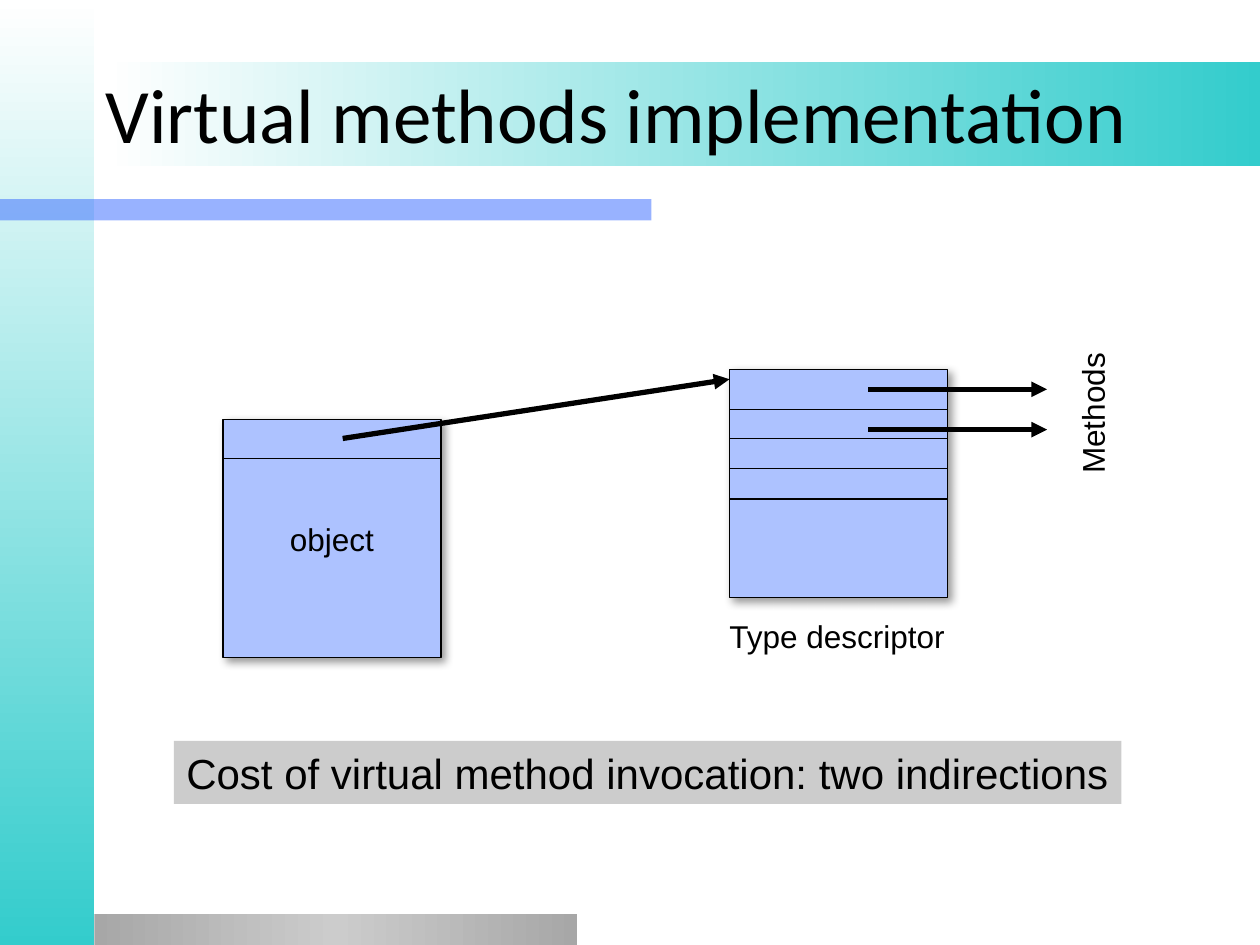
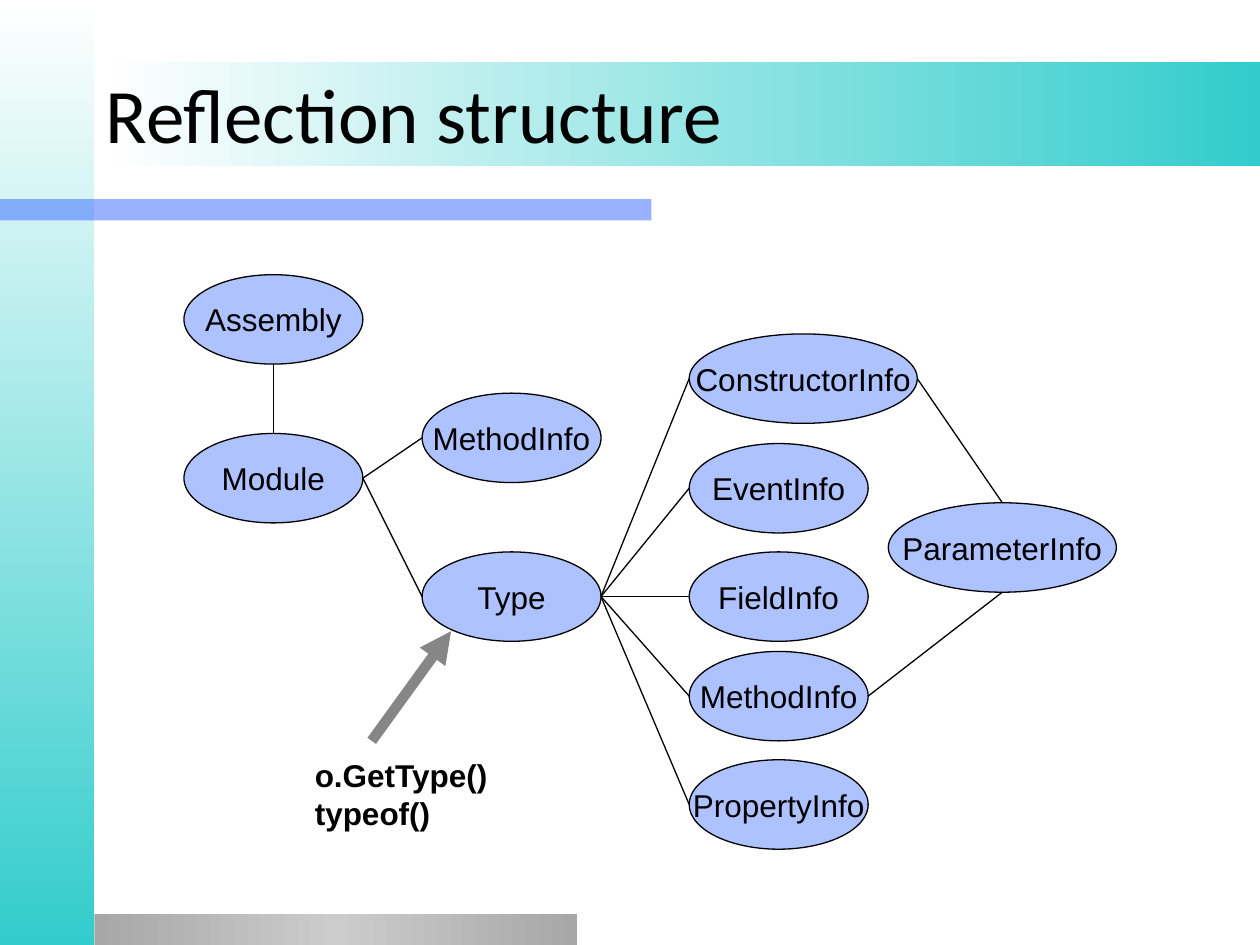
from dataclasses import dataclass

from pptx import Presentation
from pptx.dml.color import RGBColor
from pptx.enum import shapes, text
from pptx.oxml import parse_xml
from pptx.oxml.ns import nsdecls
from pptx.util import Inches, Pt
from copy import deepcopy


@dataclass(frozen=True)
class Theme:
    black: str = "000000"
    white: str = "FFFFFF"
    teal: str = "33CCCC"
    blue: str = "3366FF"
    node: str = "ADC2FF"
    silver: str = "CCCCCC"
    steel: str = "A7A7A7"
    arrow: str = "868686"
    title_font: str = "Calibri"
    body_font: str = "Arial"
    title_size: int = 44
    note_size: int = 24
    label_size: int = 18
    thin: float = 0.75
    thick: float = 3
    heavy: float = 6


THEME = Theme()
RECTANGLE = shapes.MSO_SHAPE.RECTANGLE
OVAL = shapes.MSO_SHAPE.OVAL


def rgb(colour):
    return RGBColor.from_string(colour)


def write(box, words, size=THEME.label_size, font=THEME.body_font,
          bold=False, wrap=False, centred=False, middle=False):
    frame = box.text_frame
    frame.text = words
    frame.word_wrap = wrap
    frame.vertical_anchor = text.MSO_ANCHOR.MIDDLE if middle else text.MSO_ANCHOR.TOP
    for para in frame.paragraphs:
        para.alignment = text.PP_ALIGN.CENTER if centred else text.PP_ALIGN.LEFT
        for span in para.runs:
            span.font.name = font
            span.font.size = Pt(size)
            span.font.bold = bold
            span.font.color.rgb = rgb(THEME.black)


def add_box(page, place, fill=None, outlined=False, kind=RECTANGLE):
    box = page.shapes.add_shape(kind, *map(Inches, place))
    box.shadow.inherit = False
    if fill:
        box.fill.solid()
        box.fill.fore_color.rgb = rgb(fill)
    if outlined:
        box.line.color.rgb = rgb(THEME.black)
        box.line.width = Pt(THEME.thin)
    else:
        box.line.fill.background()
    return box


def add_label(page, place, words, **style):
    box = page.shapes.add_textbox(*map(Inches, place))
    write(box, words, **style)
    return box


def add_gradient_band(page, place, colours, angle=0):
    """Spread the colours evenly; the angle runs counter-clockwise."""
    band = add_box(page, place)
    band.fill.gradient()
    band.fill.gradient_angle = angle
    stop_list = band.element.xpath(".//a:gsLst")[0]
    for _ in colours[2:]:
        stop_list.append(deepcopy(stop_list[-1]))
    for index, (stop, colour) in enumerate(zip(band.fill.gradient_stops, colours)):
        stop.color.rgb = rgb(colour)
        stop.position = index / (len(colours) - 1)


def add_line(page, start, end, width=THEME.thin, colour=THEME.black, arrow=False):
    line = page.shapes.add_connector(
        shapes.MSO_CONNECTOR.STRAIGHT, *map(Inches, (*start, *end)))
    line.line.color.rgb = rgb(colour)
    line.line.width = Pt(width)
    if arrow:
        line.line._get_or_add_ln().append(
            parse_xml(f'<a:tailEnd {nsdecls("a")} type="triangle"/>'))
    line.element.spPr.append(parse_xml(f'<a:effectLst {nsdecls("a")}/>'))


def add_record(page, place, dividers):
    """A shadowed memory block, split by lines at the given heights."""
    left, _, width, _ = place
    block = add_box(page, place, THEME.node, outlined=True)
    block.element.xpath(".//a:effectLst")[0].append(parse_xml(
        f'<a:outerShdw {nsdecls("a")} blurRad="{Pt(5)}" dist="{Pt(3)}" dir="2700000" '
        f'algn="tl" rotWithShape="0"><a:srgbClr val="{THEME.black}">'
        '<a:alpha val="40000"/></a:srgbClr></a:outerShdw>'))
    for height in dividers:
        add_line(page, (left, height), (left + width, height))
    return block


def add_page(deck, title):
    page = deck.slides.add_slide(deck.slide_layouts[6])
    add_gradient_band(page, (0, 0, 0.75, 7.5), (THEME.white, THEME.teal), angle=270)
    stripe = add_box(page, (0, 1.58, 5.17, 0.17), THEME.blue)
    stripe.element.xpath("./p:spPr/a:solidFill/a:srgbClr")[0].append(
        parse_xml(f'<a:alpha {nsdecls("a")} val="50000"/>'))
    add_gradient_band(page, (0.75, 7.25, 3.83, 0.25),
                      (THEME.steel, THEME.silver, THEME.steel))
    add_gradient_band(page, (0.84, 0.49, 9.16, 0.83), (THEME.white, THEME.teal))
    add_label(page, (0.74, 0.27, 8.5, 1.25), title, size=THEME.title_size,
              font=THEME.title_font, wrap=True, middle=True)
    return page


def add_virtual_methods(deck):
    page = add_page(deck, "Virtual methods implementation")
    instance = add_record(page, (1.77, 3.33, 1.73, 1.89), [3.64])
    write(instance, "object", centred=True, middle=True)
    add_record(page, (5.79, 2.93, 1.73, 1.81), [3.25, 3.48, 3.72, 3.96])
    add_label(page, (5.69, 4.85, 1.92, 0.4), "Type descriptor")
    pointers = [((2.72, 3.48), (5.79, 3.01))]
    pointers += [((6.89, height), (8.31, height)) for height in (3.09, 3.41)]
    for start, end in pointers:
        add_line(page, start, end, THEME.thick, arrow=True)
    add_label(page, (8.09, 3.08, 1.16, 0.4), "Methods").rotation = 270
    cost = add_box(page, (1.38, 5.88, 7.52, 0.5), THEME.silver)
    write(cost, "Cost of virtual method invocation: two indirections",
          size=THEME.note_size)


def side(place, name):
    """Middle of one side of a placed node."""
    left, top, width, height = place
    across, down = {"top": (0.5, 0), "left": (0, 0.5),
                    "bottom": (0.5, 1), "right": (1, 0.5)}[name]
    return left + across * width, top + down * height


def add_reflection(deck):
    page = add_page(deck, "Reflection structure")
    narrow, wide, height = 1.42, 1.81, 0.71
    nodes = {
        "assembly": ("Assembly", 1.46, 2.18, narrow),
        "module": ("Module", 1.46, 3.44, narrow),
        "module method": ("MethodInfo", 3.35, 3.12, narrow),
        "type": ("Type", 3.35, 4.38, narrow),
        "constructor": ("ConstructorInfo", 5.47, 2.65, wide),
        "event": ("EventInfo", 5.47, 3.52, narrow),
        "field": ("FieldInfo", 5.47, 4.38, narrow),
        "method": ("MethodInfo", 5.47, 5.17, narrow),
        "property": ("PropertyInfo", 5.47, 6.03, narrow),
        "parameter": ("ParameterInfo", 7.05, 3.99, wide),
    }
    places = {}
    for name, (label, left, top, width) in nodes.items():
        places[name] = (left, top, width, height)
        oval = add_box(page, places[name], THEME.node, outlined=True, kind=OVAL)
        write(oval, label, centred=True, middle=True)

    links = [("assembly", "bottom", "module", "top"),
             ("constructor", "right", "parameter", "top"),
             ("method", "right", "parameter", "bottom")]
    children = {"module": ("module method", "type"),
                "type": ("constructor", "event", "field", "method", "property")}
    links += [(parent, "right", child, "left")
              for parent, names in children.items() for child in names]
    for source, source_side, target, target_side in links:
        add_line(page, side(places[source], source_side),
                 side(places[target], target_side))

    add_line(page, (2.95, 5.88), (3.58, 5.01), THEME.heavy, THEME.arrow, arrow=True)
    add_label(page, (2.4, 5.95, 1.59, 0.7), "o.GetType()\ntypeof()", bold=True)


def main():
    deck = Presentation()
    deck.slide_width, deck.slide_height = Inches(10), Inches(7.5)
    add_virtual_methods(deck)
    add_reflection(deck)
    deck.save("out.pptx")


if __name__ == "__main__":
    main()
